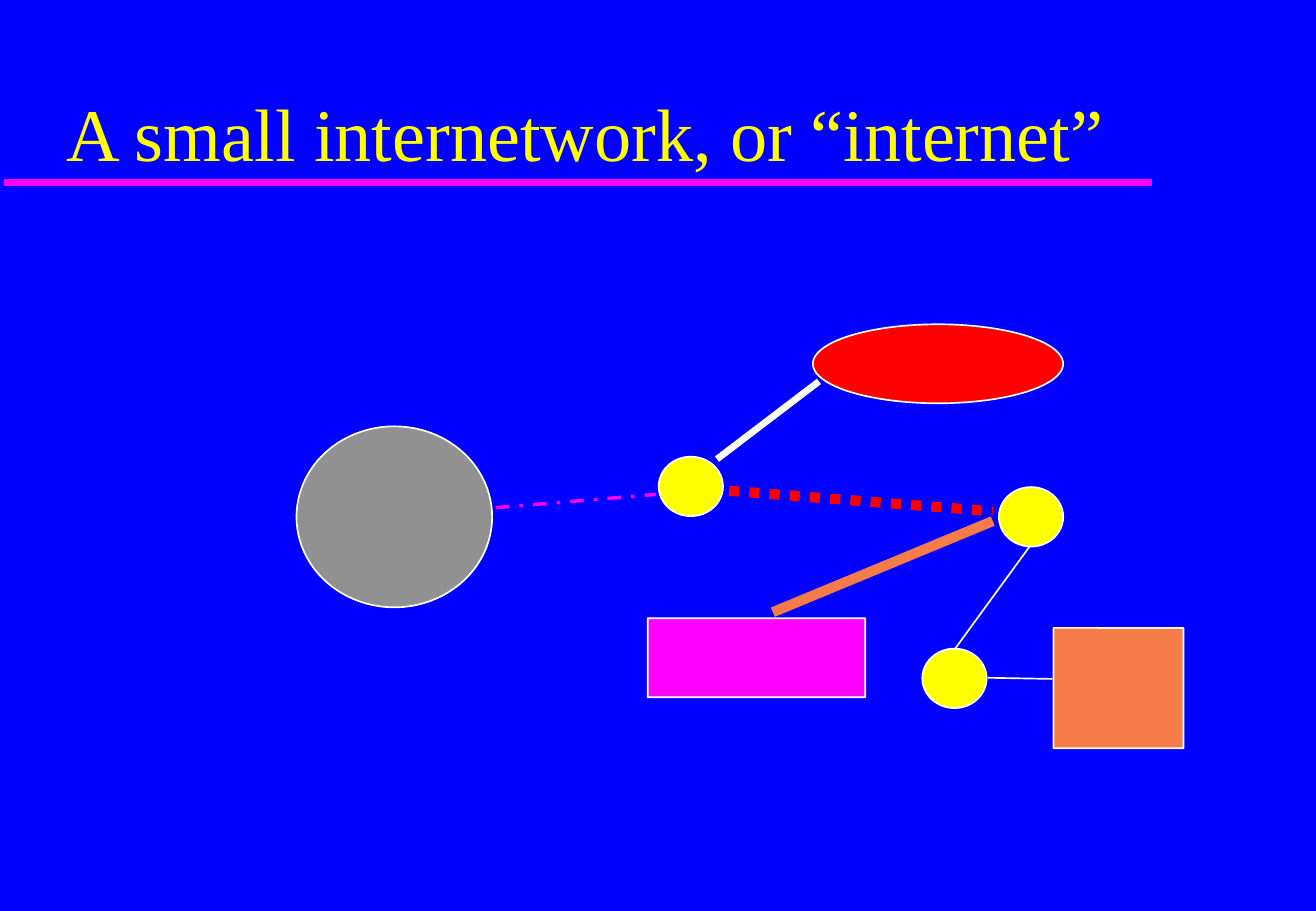
"""Build the slide that shows a small internetwork."""
from pptx import Presentation
from pptx.dml.color import RGBColor as Rgb
from pptx.enum.dml import MSO_LINE as Dash
from pptx.enum.shapes import MSO_CONNECTOR as Conn, MSO_SHAPE as Kind
from pptx.enum.text import MSO_ANCHOR as Anchor, MSO_AUTO_SIZE as Fit, PP_ALIGN as Align
from pptx.oxml.ns import qn
from pptx.util import Inches, Pt

THEME = {
    "back": "0000FF", "title": "FFFF00", "router": "FFFF00", "edge": "FFFFFF",
    "gray": "919191", "red": "FF0000", "orange": "F57B49", "pink": "FF00FF",
    "font": "Times New Roman", "size": 44, "thin": 1, "corner": 0.003,
}
SIZE = (10.83, 7.5)
TITLE = "A small internetwork, or “internet”"
TITLE_BOX = (4.16, 3.87, 85.04, 16.13)

# All places below are percent shares of the slide's width and height.
NETS = [
    (Kind.OVAL, "gray", (22.53, 46.8, 14.87, 19.87)),
    (Kind.OVAL, "red", (61.77, 35.6, 19.02, 8.67)),
    (Kind.ROUNDED_RECTANGLE, "orange", (80.06, 68.93, 9.88, 13.2)),
    (Kind.ROUNDED_RECTANGLE, "pink", (49.22, 67.87, 16.53, 8.67)),
]
ROUTERS = [(50.05, 50.13), (70.08, 71.2), (75.9, 53.47)]
ROUTER_SIZE = (4.89, 6.53)
RULE = ("pink", 4, None, (0.28, 20, 87.53, 20))
LINKS = [
    ("pink", 2, Dash.DASH_DOT, (37.67, 55.73, 49.86, 54.27)),
    ("edge", 4, None, (54.48, 50.4, 62.23, 41.87)),
    ("red", 6, Dash.ROUND_DOT, (55.4, 53.87, 75.44, 56.13)),
    ("orange", 6, None, (58.73, 67.2, 75.44, 57.2)),
    ("edge", 1, None, (75.07, 74.4, 79.96, 74.53)),
    ("edge", 1, None, (72.58, 71.2, 78.3, 59.87)),
]


def tint(name):
    return Rgb.from_string(THEME[name])


def place(box):
    return [Inches(SIZE[i % 2] * part / 100) for i, part in enumerate(box)]


def put(item, values):
    for name, value in values.items():
        setattr(item, name, value)


def paint(fill, name):
    fill.solid()
    fill.fore_color.rgb = tint(name)


def add_title(slide):
    title = slide.shapes.title
    put(title, dict(zip(("left", "top", "width", "height"), place(TITLE_BOX))))
    frame = title.text_frame
    frame.text = TITLE
    put(frame, {
        "auto_size": Fit.NONE, "word_wrap": True, "vertical_anchor": Anchor.BOTTOM,
        "margin_left": Inches(0.1), "margin_right": Inches(0.1),
        "margin_top": Inches(0.05), "margin_bottom": Inches(0.05),
    })
    line = frame.paragraphs[0]
    put(line, {"alignment": Align.LEFT, "line_spacing": 1.0})
    font = line.runs[0].font
    put(font, {"name": THEME["font"], "size": Pt(THEME["size"]), "bold": False})
    font.color.rgb = tint("title")


def add_node(slide, kind, color, box):
    node = slide.shapes.add_shape(kind, *place(box))
    node.shadow.inherit = False
    if kind == Kind.ROUNDED_RECTANGLE:
        node.adjustments[0] = THEME["corner"]
    paint(node.fill, color)
    paint(node.line.fill, "edge")
    node.line.width = Pt(THEME["thin"])


def add_link(slide, color, width, dash, ends):
    link = slide.shapes.add_connector(Conn.STRAIGHT, *place(ends))
    paint(link.line.fill, color)
    put(link.line, {"width": Pt(width), "dash_style": dash})
    props = link._element.spPr
    props.append(props.makeelement(qn("a:effectLst"), {}))


def main():
    deck = Presentation()
    put(deck, {"slide_width": Inches(SIZE[0]), "slide_height": Inches(SIZE[1])})
    slide = deck.slides.add_slide(deck.slide_layouts[5])
    paint(slide.background.fill, "back")
    add_title(slide)
    add_link(slide, *RULE)
    for net in NETS:
        add_node(slide, *net)
    for spot in ROUTERS:
        add_node(slide, Kind.OVAL, "router", spot + ROUTER_SIZE)
    for link in LINKS:
        add_link(slide, *link)
    deck.save("out.pptx")


if __name__ == "__main__":
    main()
